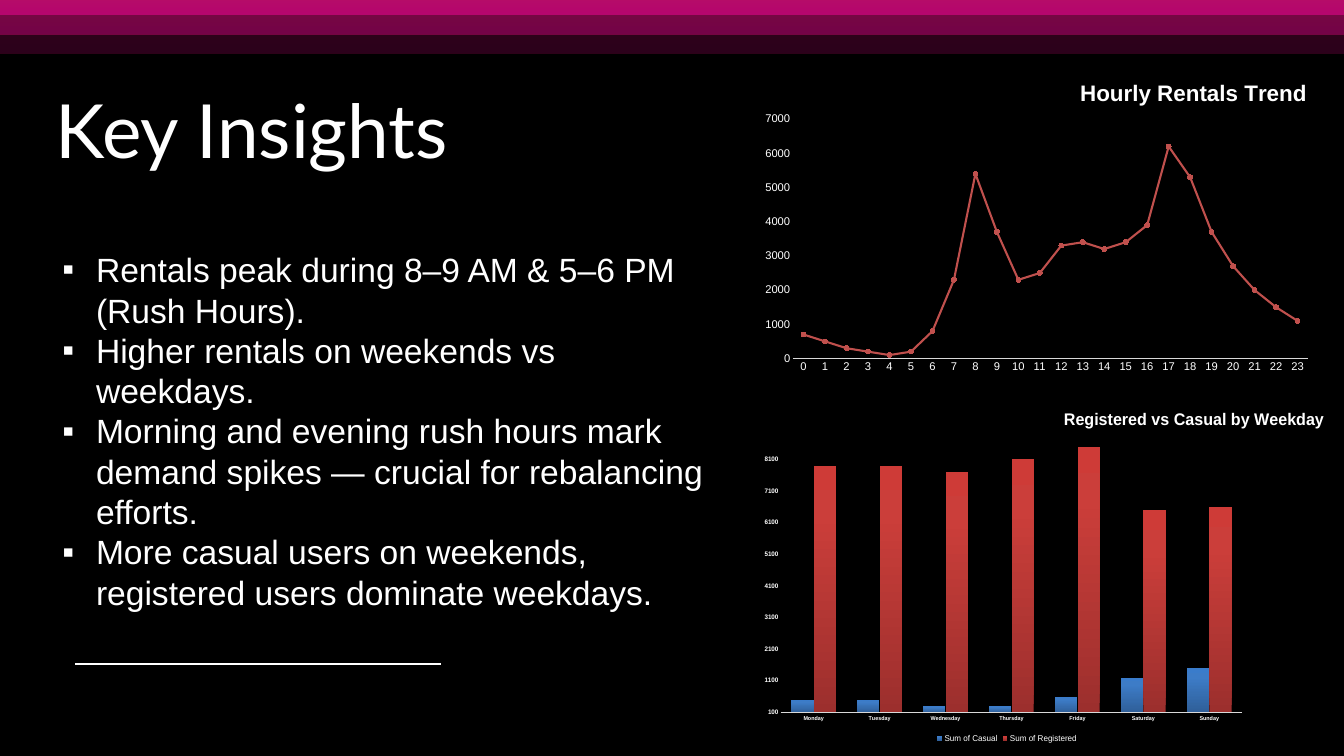
from pptx import Presentation
from pptx.chart.data import CategoryChartData
from pptx.dml.color import RGBColor
from pptx.enum import chart as ch, shapes, text
from pptx.oxml import parse_xml
from pptx.oxml.ns import nsdecls, qn
from pptx.util import Cm, Pt

BLACK = RGBColor(0, 0, 0)
WHITE = RGBColor(255, 255, 255)
GREY = RGBColor(0xD9, 0xD9, 0xD9)
ROSE = RGBColor(0xC0, 0x50, 0x4D)
ORANGE = RGBColor(0xFB, 0x86, 0x1A)
PINK = RGBColor(0xE0, 0x05, 0x8B)
BLUES = [RGBColor(0x2F, 0x5F, 0x99), RGBColor(0x3D, 0x7C, 0xC7), RGBColor(0x3A, 0x7C, 0xCB)]
REDS = [RGBColor(0x9C, 0x2F, 0x2D), RGBColor(0xCB, 0x3E, 0x3A), RGBColor(0xCE, 0x3B, 0x37)]


def shade(fill, angle, stops, alpha=100):
    """Fill with a gradient of (percent, colour) stops; the angle runs counter-clockwise."""
    fill.gradient()
    fill.gradient_angle = angle
    marks = "".join(
        f'<a:gs pos="{pos * 1000}"><a:srgbClr val="{tone}">'
        f'<a:alpha val="{alpha * 1000}"/></a:srgbClr></a:gs>' for pos, tone in stops)
    old = fill._xPr.find(qn("a:gradFill")).find(qn("a:gsLst"))
    old.getparent().replace(old, parse_xml(f'<a:gsLst {nsdecls("a")}>{marks}</a:gsLst>'))


def place(part, index, **spots):
    """Pin a chart part at fractions of the chart, given as x, y, w and h."""
    for old in part.findall(qn("c:layout")):
        part.remove(old)
    inner = '<c:layoutTarget val="inner"/>' if "w" in spots else ""
    modes = "".join(f'<c:{key}Mode val="edge"/>' for key in "xy")
    sizes = "".join(f'<c:{key} val="{val}"/>' for key, val in spots.items())
    part.insert(index, parse_xml(
        f'<c:layout {nsdecls("c")}><c:manualLayout>{inner}{modes}{sizes}'
        '</c:manualLayout></c:layout>'))


deck = Presentation()
deck.slide_width, deck.slide_height = Cm(50.8), Cm(28.58)
slide = deck.slides.add_slide(deck.slide_layouts[6])
slide.background.fill.solid()
slide.background.fill.fore_color.rgb = BLACK

# Rule below the text
rule = slide.shapes.add_connector(
    shapes.MSO_CONNECTOR.STRAIGHT, Cm(2.84), Cm(25.1), Cm(16.66), Cm(25.1))
rule.line.color.rgb = WHITE
rule.line.width = Pt(2.25)
rule._element.spPr.append(parse_xml(f'<a:effectLst {nsdecls("a")}/>'))

# Heading
head = slide.shapes.add_textbox(Cm(2.11), Cm(3.18), Cm(19.25), Cm(3.43)).text_frame
head.word_wrap = True
head.margin_left = head.margin_right = head.margin_top = head.margin_bottom = 0
run = head.paragraphs[0].add_run()
run.text = "Key Insights"
run.font.size, run.font.name = Pt(80), "Lato"
run.font.color.rgb = WHITE

# Layered bands along the top edge
bands = [(-4.7, -9.09, 63.7, 11.1, 20), (-0.56, -8.36, 55.42, 9.65, 40),
         (-2.24, -7.65, 58.8, 8.2, 60)]
for left, top, wide, high, alpha in bands:
    band = slide.shapes.add_shape(
        shapes.MSO_SHAPE.RECTANGLE, Cm(left), Cm(top), Cm(wide), Cm(high))
    band.shadow.inherit = False
    band.line.fill.background()
    shade(band.fill, 270, [(0, ORANGE), (100, PINK)], alpha)

# Bulleted findings
points = [
    "Rentals peak during 8–9 AM & 5–6 PM (Rush Hours).",
    "Higher rentals on weekends vs weekdays.",
    "Morning and evening rush hours mark demand spikes — crucial for rebalancing efforts.",
    "More casual users on weekends, registered users dominate weekdays.",
]
body = slide.shapes.add_textbox(Cm(2.11), Cm(7.77), Cm(25.2), Cm(16.92)).text_frame
body.word_wrap = True
body.margin_top = Cm(1.65)
for i, point in enumerate(points):
    para = body.add_paragraph() if i else body.paragraphs[0]
    props = para._p.get_or_add_pPr()
    props.set("marL", str(Cm(1.27)))
    props.set("indent", str(-Cm(1.27)))
    props.append(parse_xml(
        f'<a:buClr {nsdecls("a")}><a:srgbClr val="{WHITE}"/></a:buClr>'))
    props.append(parse_xml(f'<a:buFont {nsdecls("a")} typeface="Arial"/>'))
    props.append(parse_xml(f'<a:buChar {nsdecls("a")} char="▪"/>'))
    run = para.add_run()
    run.text = point
    run.font.size, run.font.name = Pt(36), "Arial"
    run.font.color.rgb = WHITE

# Charts
hours = CategoryChartData()
hours.categories = [str(hour) for hour in range(24)]
hours.add_series("Series 1", [
    700, 500, 300, 200, 100, 200, 800, 2300, 5400, 3700, 2300, 2500,
    3300, 3400, 3200, 3400, 3900, 6200, 5300, 3700, 2700, 2000, 1500, 1100])
days = CategoryChartData()
days.categories = ["Monday", "Tuesday", "Wednesday", "Thursday", "Friday", "Saturday", "Sunday"]
days.add_series("Sum of Casual", [500, 500, 300, 300, 600, 1200, 1500])
days.add_series("Sum of Registered", [7900, 7900, 7700, 8100, 8500, 6500, 6600])

trend = slide.shapes.add_chart(
    ch.XL_CHART_TYPE.LINE_MARKERS, Cm(28.47), Cm(2.21), Cm(21.41), Cm(12.07), hours).chart
week = slide.shapes.add_chart(
    ch.XL_CHART_TYPE.COLUMN_CLUSTERED, Cm(28.47), Cm(14.5), Cm(21.69), Cm(13.82), days).chart

looks = [
    (trend, "Hourly Rentals Trend", 24, 12, 12, False, 0.75, 7000,
     dict(x=0.57, y=0.05), dict(x=0.07, y=0.19, w=0.91, h=0.75)),
    (week, "Registered vs Casual by Weekday", 18, 6, 7, True, 1, 9000,
     dict(x=0.56, y=0.06), dict(x=0.05, y=0.13, w=0.84, h=0.77)),
]
for chart, name, size, small, tall, bold, width, top, spot, area in looks:
    chart.font.size, chart.font.name = Pt(10), "Arial"
    chart.font.color.rgb = BLACK
    chart.has_legend = False
    chart.has_title = True
    run = chart.chart_title.text_frame.paragraphs[0].add_run()
    run.text = name
    run.font.size, run.font.name, run.font.bold = Pt(size), "Arial", True
    run.font.color.rgb = WHITE
    place(chart.chart_title._element, 1, **spot)
    plot = chart.plots[0]
    plot.vary_by_categories = False
    place(plot._element.getparent(), 0, **area)
    for axis, points in ((chart.category_axis, small), (chart.value_axis, tall)):
        axis.has_major_gridlines = False
        axis.major_tick_mark = axis.minor_tick_mark = ch.XL_TICK_MARK.NONE
        font = axis.tick_labels.font
        font.size, font.name, font.bold = Pt(points), "Arial", bold
        font.color.rgb = WHITE
    chart.category_axis.format.line.color.rgb = GREY
    chart.category_axis.format.line.width = Pt(width)
    chart.value_axis.format.line.fill.background()
    chart.value_axis.maximum_scale = top
    chart.value_axis.major_unit = 1000

trend.value_axis.minimum_scale = 0
line = trend.plots[0].series[0]
line.smooth = False
line.format.line.color.rgb = ROSE
line.format.line.width = Pt(2.25)
line.marker.style, line.marker.size = ch.XL_MARKER_STYLE.CIRCLE, 5
line.marker.format.fill.solid()
line.marker.format.fill.fore_color.rgb = ROSE
line.marker.format.line.color.rgb = ROSE

week.value_axis.minimum_scale = 100
week.plots[0].gap_width, week.plots[0].overlap = 97, -1
for bars, tones in zip(week.plots[0].series, (BLUES, REDS)):
    shade(bars.format.fill, 90, list(zip((0, 80, 100), tones)))
week.has_legend = True
week.legend.position = ch.XL_LEGEND_POSITION.BOTTOM
week.legend.include_in_layout = False
week.legend.font.size, week.legend.font.name = Pt(9), "Arial"
week.legend.font.color.rgb = WHITE
place(week.legend._element, 1, x=0.33, y=0.95)

deck.save("out.pptx")
